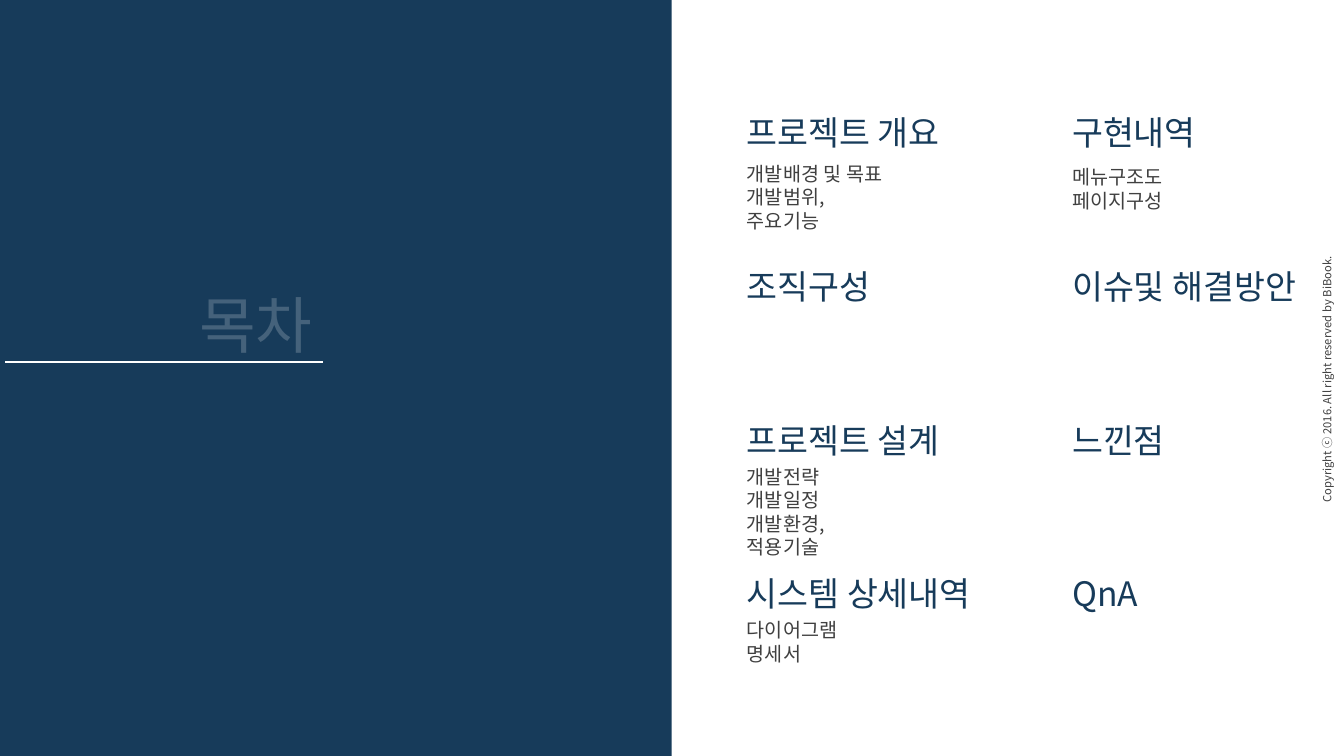
from dataclasses import dataclass

from lxml import etree
from pptx import Presentation
from pptx.dml.color import RGBColor
from pptx.enum import shapes, text
from pptx.oxml import ns
from pptx.util import Cm, Pt


@dataclass(frozen=True)
class Theme:
    font: str = "Noto Sans CJK KR"
    navy: RGBColor = RGBColor(0x17, 0x3B, 0x5A)
    white: RGBColor = RGBColor(0xFF, 0xFF, 0xFF)
    grey: RGBColor = RGBColor(0x40, 0x40, 0x40)
    title_size: int = 44
    heading_size: int = 24
    list_size: int = 14
    copyright_size: int = 8
    heading_spacing: float = 1.28
    list_spacing: float = 1.2
    title_opacity: int = 20


THEME = Theme()
COLUMN_LEFTS = (18.57, 26.77)
FIRST_ROW_TOP = 2.64
ROW_PITCH = 3.87
SECTIONS = (
    (
        ("프로젝트 개요", 1.3, ("개발배경 및 목표", "개발범위,\v주요기능")),
        ("조직구성", 0, ()),
        ("프로젝트 설계", 1.2, ("개발전략", "개발일정", "개발환경,\v적용기술")),
        ("시스템 상세내역", 1.2, ("다이어그램", "명세서")),
    ),
    (
        ("구현내역", 1.4, ("메뉴구조도", "페이지구성")),
        ("이슈및 해결방안", 0, ()),
        ("느낀점", 0, ()),
        ("QnA", 0, ()),
    ),
)


def place(shape, left, top, width, height):
    shape.left, shape.top = Cm(left), Cm(top)
    shape.width, shape.height = Cm(width), Cm(height)


def write(shape, lines, *, size, color, spacing=THEME.list_spacing,
          align=text.PP_ALIGN.LEFT, anchor=text.MSO_ANCHOR.TOP, opacity=100):
    frame = shape.text_frame
    frame.text = "\n".join(lines)
    frame.auto_size = text.MSO_AUTO_SIZE.NONE
    frame.word_wrap = False
    frame.vertical_anchor = anchor
    for paragraph in frame.paragraphs:
        properties = paragraph._p.get_or_add_pPr()
        properties.set("marL", "0")
        properties.set("indent", "0")
        etree.SubElement(properties, ns.qn("a:buNone"))
        paragraph.alignment = align
        paragraph.space_before = Pt(0)
        paragraph.line_spacing = Pt(round(size * spacing, 1))
        for run in paragraph.runs:
            font = run.font
            font.size, font.bold, font.name = Pt(size), False, THEME.font
            font.color.rgb = color
            east_asian = etree.SubElement(font._element, ns.qn("a:ea"))
            east_asian.set("typeface", THEME.font)
            if opacity < 100:
                fill_color = font._element.find(".//" + ns.qn("a:srgbClr"))
                alpha = etree.SubElement(fill_color, ns.qn("a:alpha"))
                alpha.set("val", str(opacity * 1000))


def add_text_box(slide, left, top, width, height):
    return slide.shapes.add_textbox(Cm(left), Cm(top), Cm(width), Cm(height))


def add_panel(slide):
    panel = slide.shapes.add_shape(
        shapes.MSO_SHAPE.RECTANGLE, 0, 0, Cm(16.93), Cm(19.05))
    panel.shadow.inherit = False
    panel.fill.solid()
    panel.fill.fore_color.rgb = THEME.navy
    panel.line.fill.background()
    slide.shapes._spTree.insert(2, panel._element)


def add_title(slide):
    title = slide.shapes.title
    place(title, 4.67, 6.99, 3.46, 2.13)
    write(title, ["목차"], size=THEME.title_size, color=THEME.white,
          spacing=THEME.heading_spacing, align=text.PP_ALIGN.RIGHT,
          opacity=THEME.title_opacity)
    rule = slide.shapes.add_connector(
        shapes.MSO_CONNECTOR.STRAIGHT, Cm(0.13), Cm(9.12), Cm(8.13), Cm(9.12))
    rule.line.color.rgb = THEME.white
    rule.line.width = Pt(1)
    etree.SubElement(rule._element.spPr, ns.qn("a:effectLst"))


def add_section(slide, left, top, heading, list_gap, items, bodies):
    box = add_text_box(slide, left, top, 6.38, 1.27)
    write(box, [heading], size=THEME.heading_size, color=THEME.navy,
          spacing=THEME.heading_spacing)
    if items:
        body = next(bodies)
        line_count = len("\v".join(items).split("\v"))
        place(body, left, top + list_gap, 4.55, 0.25 + 0.6 * line_count)
        write(body, items, size=THEME.list_size, color=THEME.grey)


def add_copyright(slide):
    box = add_text_box(slide, 30.05, 9.22, 6.78, 0.61)
    box.rotation = 270
    write(box, ["Copyright ⓒ 2016. All right reserved by BiBook."],
          size=THEME.copyright_size, color=THEME.grey,
          anchor=text.MSO_ANCHOR.MIDDLE)


def main():
    presentation = Presentation()
    presentation.slide_width, presentation.slide_height = Cm(33.87), Cm(19.05)
    comparison_layout = presentation.slide_layouts.get_by_name("Comparison")
    slide = presentation.slides.add_slide(comparison_layout)
    bodies = iter(list(slide.placeholders)[1:])
    add_panel(slide)
    add_title(slide)
    for left, column in zip(COLUMN_LEFTS, SECTIONS):
        for row, (heading, list_gap, items) in enumerate(column):
            top = FIRST_ROW_TOP + row * ROW_PITCH
            add_section(slide, left, top, heading, list_gap, items, bodies)
    add_copyright(slide)
    presentation.save("out.pptx")


if __name__ == "__main__":
    main()
